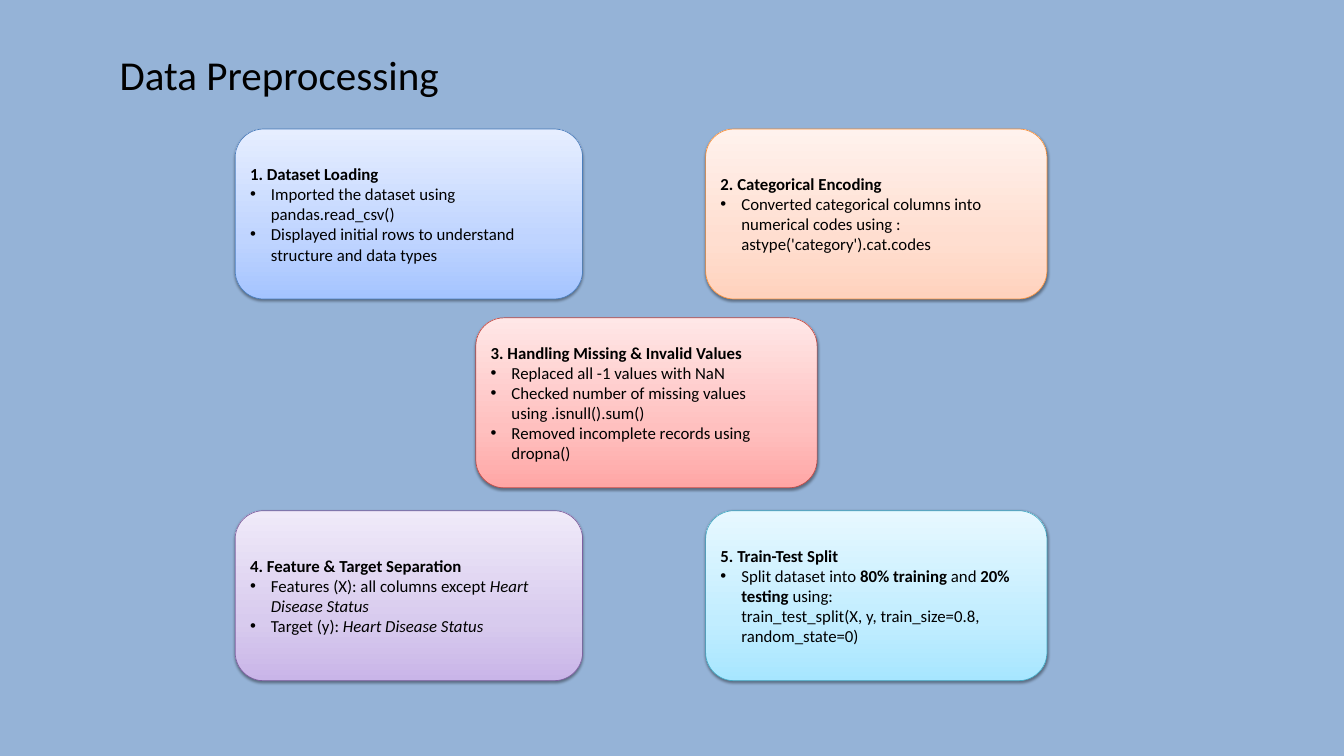
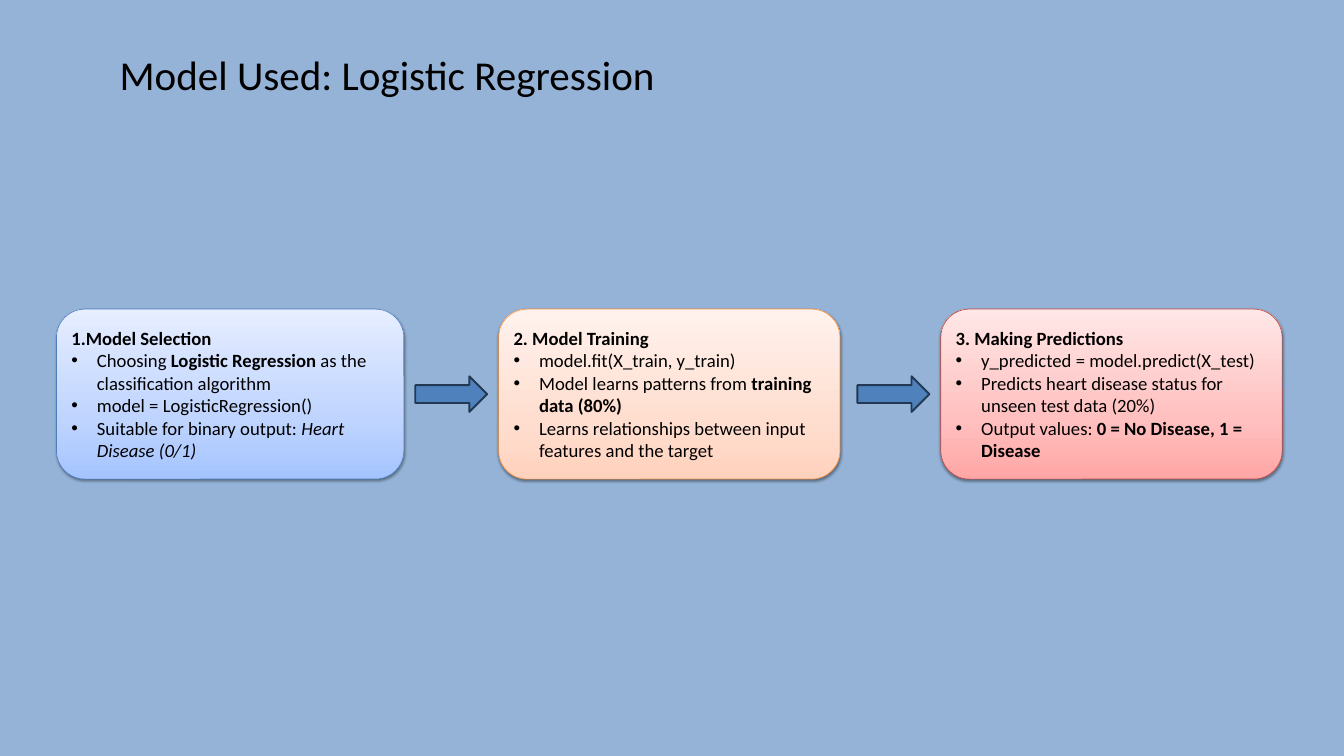
from copy import deepcopy
from dataclasses import dataclass
from typing import NamedTuple, Optional

from pptx import Presentation
from pptx.dml.color import RGBColor
from pptx.enum.shapes import MSO_SHAPE as Shape
from pptx.enum.text import MSO_ANCHOR as Anchor, MSO_AUTO_SIZE as AutoSize, PP_ALIGN as Align
from pptx.oxml import parse_xml
from pptx.oxml.ns import nsdecls, qn
from pptx.util import Inches, Pt


# Theme
class Tint(NamedTuple):
    line: str
    stops: tuple[str, str, str]


@dataclass(frozen=True)
class Theme:
    font: str = "Calibri"
    background: str = "95B3D7"
    text: str = "000000"
    arrow_fill: str = "4F81BD"
    arrow_line: str = "233953"
    title_size: int = 44
    grid_size: int = 18
    flow_size: int = 20
    blue: Tint = Tint("4B7EBC", ("A4C4FF", "BFD4FF", "E6EEFF"))
    orange: Tint = Tint("F69240", ("FFD2BD", "FFDED0", "FFF2ED"))
    red: Tint = Tint("BF4C48", ("FFA6A5", "FFC0BF", "FFE7E7"))
    purple: Tint = Tint("7D60A0", ("C9B5E8", "D8CBEE", "F0EAF9"))
    aqua: Tint = Tint("46AAC5", ("A7E6FF", "C1EDFF", "E7F8FF"))


THEME = Theme()
STOP_POSITIONS = (0, 0.35, 1)
CARD_HEIGHT = 2.53
WIDE, NARROW = 5.17, 5.08


# Content types
class Span(NamedTuple):
    text: str
    bold: bool = False
    italic: bool = False


Bullet = tuple[Span, ...]


@dataclass(frozen=True)
class Card:
    heading: str
    bullets: tuple[Bullet, ...]
    tint: Tint
    left: float
    top: float
    width: float = NARROW
    numbered: bool = False


# Preprocessing grid: two outer columns with one card between them
LEFT_COLUMN, MIDDLE_COLUMN, RIGHT_COLUMN = 3.5, 7.08, 10.5
TOP_ROW, MIDDLE_ROW, BOTTOM_ROW = 1.92, 4.73, 7.6

PREPROCESSING = (
    Card("1. Dataset Loading", (
        (Span("Imported the dataset using pandas.read_csv()"),),
        (Span("Displayed initial rows to understand structure and data types"),),
    ), THEME.blue, LEFT_COLUMN, TOP_ROW, WIDE),
    Card("2. Categorical Encoding", (
        (Span("Converted categorical columns into numerical codes using : "
              "astype('category').cat.codes"),),
    ), THEME.orange, RIGHT_COLUMN, TOP_ROW),
    Card("3. Handling Missing & Invalid Values", (
        (Span("Replaced all -1 values with NaN"),),
        (Span("Checked number of missing values using .isnull().sum()"),),
        (Span("Removed incomplete records using dropna()"),),
    ), THEME.red, MIDDLE_COLUMN, MIDDLE_ROW),
    Card("4. Feature & Target Separation", (
        (Span("Features (X): all columns except "), Span("Heart Disease Status", italic=True)),
        (Span("Target (y): "), Span("Heart Disease Status", italic=True)),
    ), THEME.purple, LEFT_COLUMN, BOTTOM_ROW, WIDE),
    Card("5. Train-Test Split", (
        (Span("Split dataset into "), Span("80% training", bold=True), Span(" and "),
         Span("20% testing ", bold=True),
         Span("using:\ntrain_test_split(X, y, train_size=0.8, random_state=0)")),
    ), THEME.aqua, RIGHT_COLUMN, BOTTOM_ROW),
)

# Model flow: equal steps with an arrow after all but the last
FLOW_LEFT, FLOW_STEP, FLOW_TOP = 0.84, 6.58, 4.6
ARROW_OFFSET, ARROW_WIDTH, ARROW_HEIGHT = 5.34, 1.07, 0.53

MODEL_FLOW = (
    Card("Model Selection", (
        (Span("Choosing "), Span("Logistic Regression", bold=True),
         Span(" as the classification algorithm")),
        (Span("model = LogisticRegression()"),),
        (Span("Suitable for binary output: "), Span("Heart Disease (0/1)", italic=True)),
    ), THEME.blue, FLOW_LEFT, FLOW_TOP, WIDE, numbered=True),
    Card("2. Model Training", (
        (Span("model.fit(X_train, y_train)"),),
        (Span("Model learns patterns from "), Span("training data (80%)", bold=True)),
        (Span("Learns relationships between input features and the target"),),
    ), THEME.orange, FLOW_LEFT + FLOW_STEP, FLOW_TOP),
    Card("3. Making Predictions", (
        (Span("y_predicted = model.predict(X_test)"),),
        (Span("Predicts heart disease status for unseen test data (20%)"),),
        (Span("Output values: "), Span("0 = No Disease, 1 = Disease", bold=True)),
    ), THEME.red, FLOW_LEFT + 2 * FLOW_STEP, FLOW_TOP),
)


# Text helpers
def format_run(run, size: int, bold: bool = False, italic: bool = False) -> None:
    font = run.font
    font.name, font.size = THEME.font, Pt(size)
    font.bold, font.italic = bold, italic
    font.color.rgb = RGBColor.from_string(THEME.text)


def set_marker(paragraph, indent: float, character: Optional[str] = None) -> None:
    """Give the paragraph a bullet character, or a number when there is none."""
    properties = paragraph._p.get_or_add_pPr()
    properties.set("marL", str(Inches(indent)))
    properties.set("indent", str(-Inches(indent)))
    if character:
        properties.append(parse_xml(f'<a:buFont {nsdecls("a")} typeface="Arial"/>'))
        properties.append(parse_xml(f'<a:buChar {nsdecls("a")} char="{character}"/>'))
    else:
        properties.append(parse_xml(f'<a:buAutoNum {nsdecls("a")} type="arabicPeriod"/>'))


def write_bullet(paragraph, bullet: Bullet, size: int, indent: float) -> None:
    paragraph.alignment = Align.LEFT
    set_marker(paragraph, indent, "•")
    for span in bullet:
        for index, line in enumerate(span.text.split("\n")):
            if index:
                paragraph.add_line_break()
            run = paragraph.add_run()
            run.text = line
            format_run(run, size, span.bold, span.italic)


# Shape helpers
def fill_gradient(box, tint: Tint) -> None:
    box.fill.gradient()
    box.fill.gradient_angle = 90
    stop_list = box._element.spPr.find(f".//{qn('a:gsLst')}")
    stop_list.append(deepcopy(stop_list[0]))
    for stop, position, colour in zip(box.fill.gradient_stops, STOP_POSITIONS, tint.stops):
        stop.position = position
        stop.color.rgb = RGBColor.from_string(colour)


def add_soft_shadow(box) -> None:
    box.shadow.inherit = False
    box._element.spPr.find(qn("a:effectLst")).append(parse_xml(
        f'<a:outerShdw {nsdecls("a")} blurRad="{Pt(3.1)}" dist="{Pt(1.6)}" dir="5400000" '
        'rotWithShape="0"><a:srgbClr val="000000"><a:alpha val="38000"/></a:srgbClr>'
        '</a:outerShdw>'))


def draw_card(page, card: Card, size: int, indent: float) -> None:
    box = page.shapes.add_shape(Shape.ROUNDED_RECTANGLE, Inches(card.left), Inches(card.top),
                                Inches(card.width), Inches(CARD_HEIGHT))
    fill_gradient(box, card.tint)
    box.line.color.rgb = RGBColor.from_string(card.tint.line)
    box.line.width = Pt(0.75)
    add_soft_shadow(box)

    frame = box.text_frame
    frame.word_wrap = True
    frame.vertical_anchor = Anchor.MIDDLE
    frame.text = card.heading
    heading = frame.paragraphs[0]
    heading.alignment = Align.LEFT
    format_run(heading.runs[0], size, bold=True)
    if card.numbered:
        set_marker(heading, 0)
    for bullet in card.bullets:
        write_bullet(frame.add_paragraph(), bullet, size, indent)


def draw_arrow(page, left: float) -> None:
    top = FLOW_TOP + (CARD_HEIGHT - ARROW_HEIGHT) / 2
    arrow = page.shapes.add_shape(Shape.RIGHT_ARROW, Inches(left), Inches(top),
                                  Inches(ARROW_WIDTH), Inches(ARROW_HEIGHT))
    arrow.shadow.inherit = False
    arrow.fill.solid()
    arrow.fill.fore_color.rgb = RGBColor.from_string(THEME.arrow_fill)
    arrow.line.color.rgb = RGBColor.from_string(THEME.arrow_line)
    arrow.line.width = Pt(2)


# Pages
def add_page(deck, title: str):
    page = deck.slides.add_slide(deck.slide_layouts.get_by_name("Title Only"))
    box = page.shapes.title
    box.left, box.top = Inches(1.68), Inches(0.68)
    box.width, box.height = Inches(9.32), Inches(0.88)
    frame = box.text_frame
    frame.text = title
    frame.word_wrap = True
    frame.auto_size = AutoSize.NONE
    frame.vertical_anchor = Anchor.TOP
    frame.paragraphs[0].alignment = Align.LEFT
    format_run(frame.paragraphs[0].runs[0], THEME.title_size)
    return page


def main() -> None:
    deck = Presentation()
    deck.slide_width, deck.slide_height = Inches(20), Inches(11.25)
    background = deck.slide_master.background.fill
    background.solid()
    background.fore_color.rgb = RGBColor.from_string(THEME.background)

    page = add_page(deck, "Data Preprocessing")
    for card in PREPROCESSING:
        draw_card(page, card, THEME.grid_size, indent=0.31)

    page = add_page(deck, "Model Used: Logistic Regression")
    for card in MODEL_FLOW:
        draw_card(page, card, THEME.flow_size, indent=0.38)
    for card in MODEL_FLOW[:-1]:
        draw_arrow(page, card.left + ARROW_OFFSET)

    deck.save("out.pptx")


if __name__ == "__main__":
    main()
